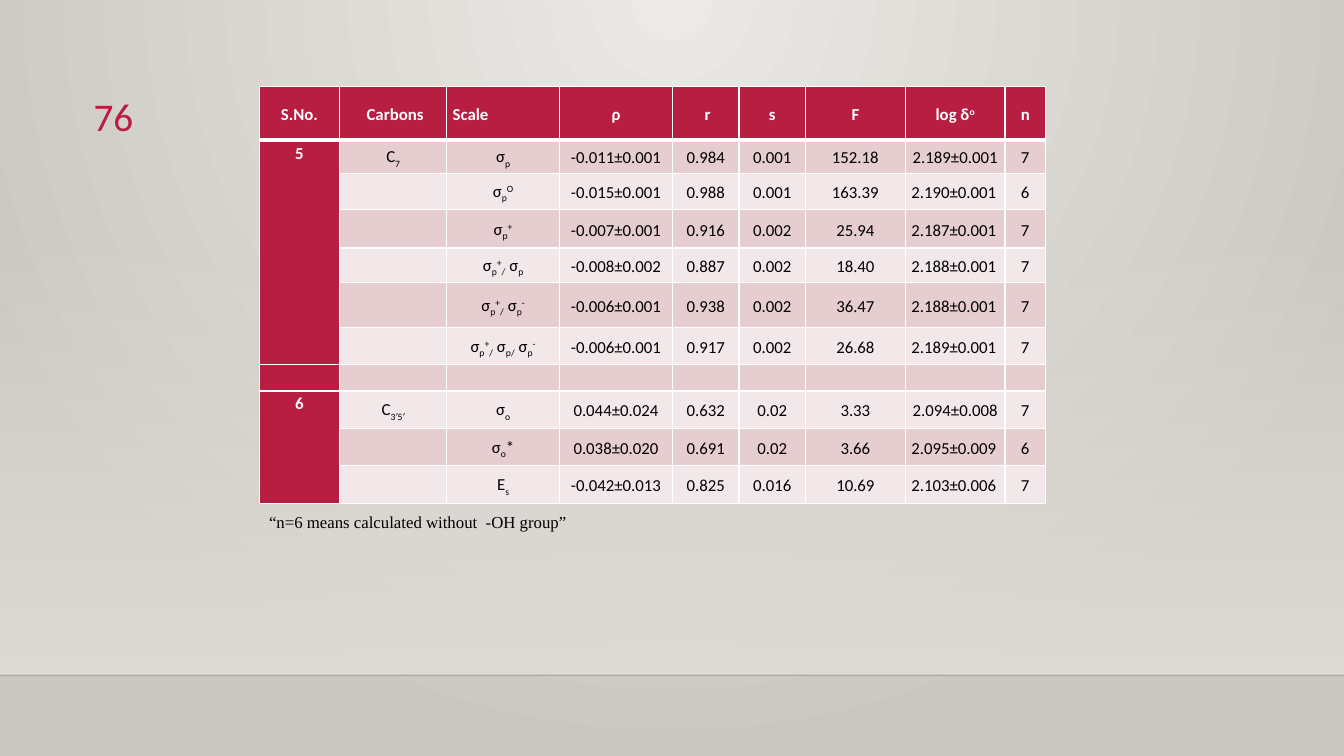
from lxml.etree import SubElement
from pptx import Presentation
from pptx.dml.color import RGBColor
from pptx.enum.shapes import MSO_CONNECTOR, MSO_SHAPE
from pptx.enum.text import MSO_ANCHOR, MSO_AUTO_SIZE, PP_ALIGN
from pptx.oxml import parse_xml
from pptx.oxml.ns import nsdecls, qn
from pptx.util import Inches, Pt

COLORS = {
    "crimson": "B71E42", "band_dark": "E6CDCF", "band_light": "F3E8E9",
    "white": "FFFFFF", "black": "000000", "line": "000001",
    "floor": "DFDBD5", "glow": "ECEAE7", "edge": "CAC7C1",
}
BASELINES = {"_": "-25000", "^": "30000"}

# "|" separates pieces; a leading "_" or "^" marks a subscript or superscript
HEADERS = ["S.No.", " Carbons", "Scale", "ρ", " r", "s", "F", "log δ|^o", "n"]
ROWS = [
    ["5", "C|_7", "σ|_p", "-0.011±0.001", "0.984", "0.001", "152.18", "2.189±0.001", "7"],
    ["", "", "σ|_p|^O", "-0.015±0.001", "0.988", "0.001", "163.39", "2.190±0.001", "6"],
    ["", "", "σ|_p|^+", "-0.007±0.001", "0.916", "0.002", "25.94", "2.187±0.001", "7"],
    ["", "", "σ|_p|^+|_/| σ|_p", "-0.008±0.002", "0.887", "0.002", "18.40", "2.188±0.001", "7"],
    ["", "", "σ|_p|^+|_/| σ|_p|^-", "-0.006±0.001", "0.938", "0.002", "36.47", "2.188±0.001", "7"],
    ["", "", "σ|_p|^+|_/| σ|_p/| σ|_p|^-", "-0.006±0.001", "0.917", "0.002", "26.68", "2.189±0.001", "7"],
    [""] * 9,
    ["6", "C|_3′5′", "σ|_o", "0.044±0.024", "0.632", "0.02", "3.33", "2.094±0.008", "7"],
    ["", "", "σ|_o|*", "0.038±0.020", "0.691", "0.02", "3.66", "2.095±0.009", "6"],
    ["", "", "E|_s", "-0.042±0.013", "0.825", "0.016", "10.69", "2.103±0.006", "7"],
]
COLUMN_WIDTHS = [0.8, 1.06, 1.12, 1.12, 0.66, 0.66, 0.99, 0.99, 0.4]
ROW_HEIGHTS = [0.53, 0.33, 0.36, 0.38, 0.34, 0.45, 0.37, 0.26, 0.37, 0.37, 0.38]
SERIAL_SPANS = [(1, 6), (8, 10)]
SERIAL, CARBON, SCALE, LOG = 0, 1, 2, 7


def write_text(frame, text, size=12, font="Calibri", color="black", bold=False,
               align=PP_ALIGN.LEFT, line_spacing=1.15, space_after=10):
    para = frame.paragraphs[0]
    para.alignment = align
    para.line_spacing = line_spacing
    para.space_after = Pt(space_after)
    if not text:
        SubElement(para._p, qn("a:endParaRPr"), sz=str(size * 100))
        return
    for piece in text.split("|"):
        baseline = BASELINES.get(piece[0])
        span = para.add_run()
        span.text = piece[1:] if baseline else piece
        span.font.size = Pt(size)
        span.font.name = font
        span.font.bold = bold
        span.font.color.rgb = RGBColor.from_string(COLORS[color])
        if baseline:
            span.font._element.set("baseline", baseline)


class SlideBuilder:
    def __init__(self, deck):
        self.page = deck.slides.add_slide(deck.slide_layouts[6])

    def background(self):
        self.page.element.cSld.insert(0, parse_xml(
            f'<p:bg {nsdecls("p", "a")}><p:bgPr><a:gradFill rotWithShape="1"><a:gsLst>'
            f'<a:gs pos="0"><a:srgbClr val="{COLORS["glow"]}"/></a:gs>'
            f'<a:gs pos="100000"><a:srgbClr val="{COLORS["edge"]}"/></a:gs></a:gsLst>'
            '<a:path path="circle"><a:fillToRect l="43000" r="43000" b="100000"/></a:path>'
            '</a:gradFill><a:effectLst/></p:bgPr></p:bg>'))

    def fading_band(self, left, top, width, height, color):
        band = self.page.shapes.add_shape(
            MSO_SHAPE.RECTANGLE, Inches(left), Inches(top), Inches(width), Inches(height))
        band.shadow.inherit = False
        band.line.fill.background()
        band.fill.gradient()
        band.fill.gradient_angle = 270
        for stop, position in zip(band.fill.gradient_stops, (0, 1)):
            stop.position = position
            stop.color.rgb = RGBColor.from_string(COLORS[color])
        first_color = band.fill.gradient_stops[0]._gs.find(qn("a:srgbClr"))
        SubElement(first_color, qn("a:alpha"), val="0")

    def rule(self, left, top, width, color, opacity):
        line = self.page.shapes.add_connector(
            MSO_CONNECTOR.STRAIGHT, Inches(left), Inches(top), Inches(left + width), Inches(top))
        line.line.width = Pt(1)
        line.line.color.rgb = RGBColor.from_string(COLORS[color])
        properties = line._element.spPr
        SubElement(properties.find(".//" + qn("a:srgbClr")), qn("a:alpha"), val=str(opacity * 1000))
        SubElement(properties, qn("a:effectLst"))

    def text_box(self, left, top, width, height, text, wrap=True, grow=False, **style):
        box = self.page.shapes.add_textbox(Inches(left), Inches(top), Inches(width), Inches(height))
        frame = box.text_frame
        frame.word_wrap = wrap
        frame.auto_size = MSO_AUTO_SIZE.SHAPE_TO_FIT_TEXT if grow else MSO_AUTO_SIZE.NONE
        write_text(frame, text, **style)

    def style_cell(self, cell, fill, top_width, bottom_width):
        cell.margin_left = cell.margin_right = Inches(0.06)
        cell.margin_top = cell.margin_bottom = 0
        properties = cell._tc.get_or_add_tcPr()
        for side, width in (("L", 1), ("R", 1), ("T", top_width), ("B", bottom_width)):
            border = SubElement(properties, qn("a:ln" + side), w=str(Pt(width)))
            solid = SubElement(border, qn("a:solidFill"))
            SubElement(solid, qn("a:srgbClr"), val=COLORS["white"])
        cell.fill.solid()
        cell.fill.fore_color.rgb = RGBColor.from_string(COLORS[fill])

    def results_table(self, left, top):
        rows = [HEADERS] + ROWS
        table = self.page.shapes.add_table(
            len(rows), len(HEADERS), Inches(left), Inches(top),
            Inches(sum(COLUMN_WIDTHS)), Inches(sum(ROW_HEIGHTS))).table
        for column, width in zip(table.columns, COLUMN_WIDTHS):
            column.width = Inches(width)
        for row, height in zip(table.rows, ROW_HEIGHTS):
            row.height = Inches(height)

        for r, values in enumerate(rows):
            for c, text in enumerate(values):
                cell = table.cell(r, c)
                strong = r == 0 or c == SERIAL
                band = "band_dark" if r % 2 else "band_light"
                self.style_cell(cell, "crimson" if strong else band,
                                top_width=3 if r == 1 else 1, bottom_width=3 if r == 0 else 1)
                serial_body = c == SERIAL and r > 0
                cell.vertical_anchor = MSO_ANCHOR.TOP if serial_body else MSO_ANCHOR.MIDDLE
                # Log values align left except on the first row of each group
                to_left = (r == 0 and c == SCALE) or (c == LOG and not values[CARBON])
                write_text(cell.text_frame, text, bold=strong,
                           color="white" if strong else "black",
                           align=PP_ALIGN.LEFT if to_left else PP_ALIGN.CENTER)

        for first, last in SERIAL_SPANS:
            table.cell(first, SERIAL).merge(table.cell(last, SERIAL))


def main():
    deck = Presentation()
    deck.slide_width, deck.slide_height = Inches(13.33), Inches(7.5)
    slide = SlideBuilder(deck)

    # Backdrop
    slide.background()
    slide.fading_band(0, 2.21, 13.33, 4.49, "floor")
    slide.rule(0, 6.7, 13.33, "line", opacity=20)

    # Results and footnote
    slide.results_table(2.57, 0.86)
    slide.text_box(2.57, 5, 3.19, 0.32, "“n=6 means calculated without  -OH group”",
                   wrap=False, grow=True, font="Times New Roman")

    # Page number
    slide.text_box(0.53, 0.87, 0.89, 0.55, "76", size=28, color="crimson",
                   align=PP_ALIGN.RIGHT, line_spacing=1.0, space_after=0)

    deck.save("out.pptx")


if __name__ == "__main__":
    main()
